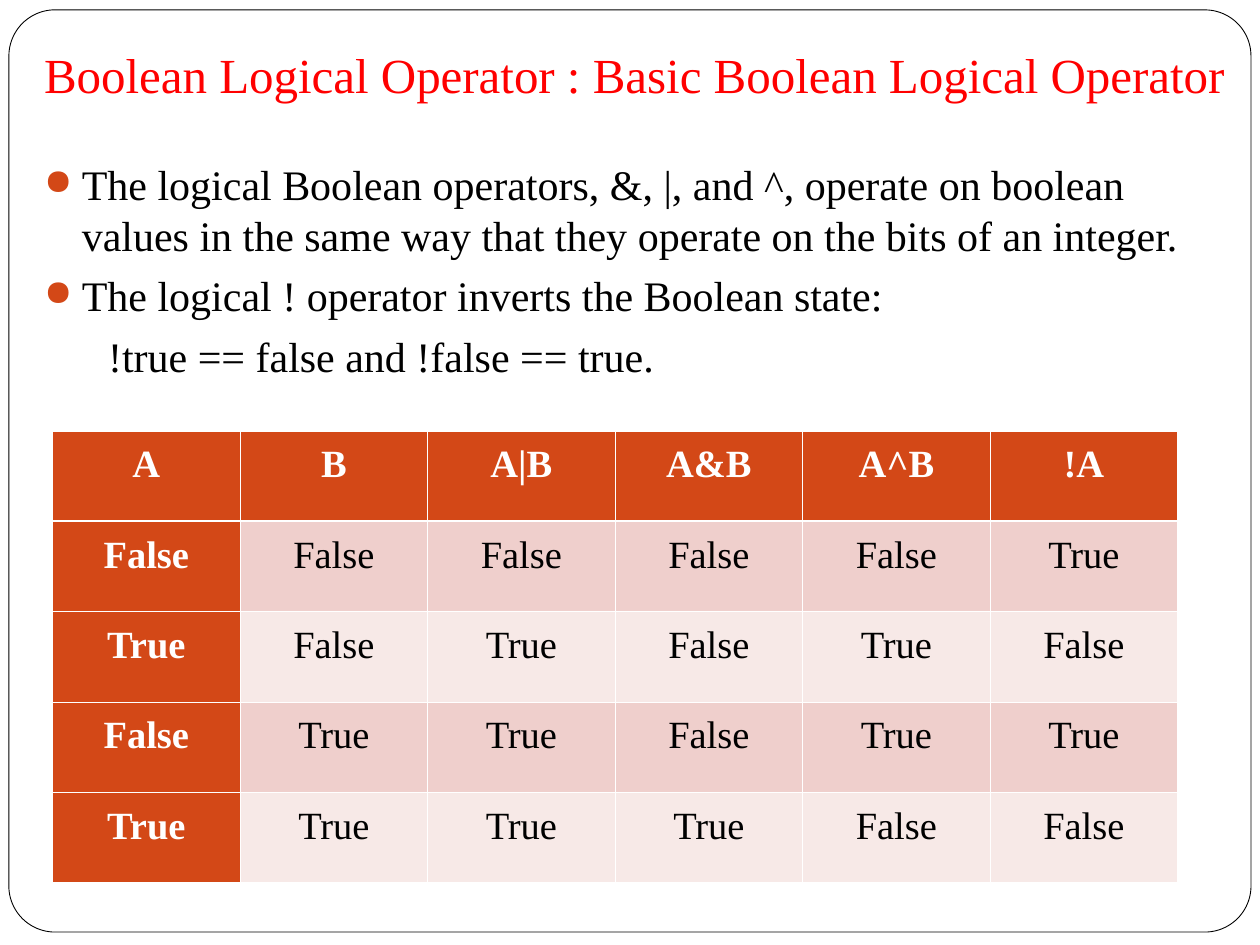
from lxml import etree
from pptx import Presentation
from pptx.dml.color import RGBColor
from pptx.enum.shapes import MSO_SHAPE
from pptx.enum.text import MSO_ANCHOR, PP_ALIGN
from pptx.oxml.ns import qn
from pptx.util import Cm, Pt

ROUNDED = MSO_SHAPE.ROUNDED_RECTANGLE
CENTER = PP_ALIGN.CENTER
TOP, BOTTOM = MSO_ANCHOR.TOP, MSO_ANCHOR.BOTTOM

BLACK, WHITE, RED = "000000", "FFFFFF", "FF0000"
ORANGE = "D34817"
BANDS = ("EFCFCC", "F7E9E7")


def color(hex_string):
    return RGBColor.from_string(hex_string)


class SlideBuilder:
    font_name = "Times New Roman"

    def __init__(self, slide):
        self.slide = slide

    def add_run(self, paragraph, text, size, hex_string, bold=False):
        run = paragraph.add_run()
        run.text = text
        run.font.name = self.font_name
        run.font.size = Pt(size)
        run.font.bold = bold
        run.font.color.rgb = color(hex_string)

    def add_frame(self, left, top, width, height):
        shape = self.slide.shapes.add_shape(
            ROUNDED, Cm(left), Cm(top), Cm(width), Cm(height))
        shape.adjustments[0] = 0.05
        shape.shadow.inherit = False
        shape.fill.solid()
        shape.fill.fore_color.rgb = color(WHITE)
        shape.line.color.rgb = color(BLACK)
        shape.line.width = Pt(0.5)

    def add_text_box(self, left, top, width, height, anchor, margin_top, margin_bottom):
        box = self.slide.shapes.add_textbox(Cm(left), Cm(top), Cm(width), Cm(height))
        frame = box.text_frame
        frame.word_wrap = True
        frame.vertical_anchor = anchor
        frame.margin_top, frame.margin_bottom = Cm(margin_top), Cm(margin_bottom)
        return frame

    def add_title(self, text):
        frame = self.add_text_box(0.64, 0.64, 24.76, 1.7, BOTTOM, 0.13, 0.25)
        self.add_run(frame.paragraphs[0], text, 28, RED)

    def add_body(self, lines):
        frame = self.add_text_box(0.64, 2.97, 24.33, 14.81, TOP, 0.23, 0.13)
        for index, (text, bulleted) in enumerate(lines):
            paragraph = frame.paragraphs[0]
            if index:
                paragraph = frame.add_paragraph()
                paragraph.space_before = Pt(5.8)
            self.set_indent(paragraph, bulleted)
            self.add_run(paragraph, text, 24, BLACK)

    def set_indent(self, paragraph, bulleted):
        properties = paragraph._p.get_or_add_pPr()
        properties.set("marL", str(Cm(0.76 if bulleted else 1.29)))
        properties.set("indent", str(Cm(-0.76 if bulleted else 0)))
        if bulleted:
            bullet_color = etree.SubElement(properties, qn("a:buClr"))
            etree.SubElement(bullet_color, qn("a:srgbClr"), val=ORANGE)
            etree.SubElement(properties, qn("a:buSzPct"), val="85000")
            etree.SubElement(properties, qn("a:buChar"), char="●")

    def add_table(self, left, top, column_width, row_height, rows):
        columns = len(rows[0])
        table = self.slide.shapes.add_table(
            len(rows), columns, Cm(left), Cm(top),
            Cm(column_width * columns), Cm(row_height * len(rows))).table
        for column in table.columns:
            column.width = Cm(column_width)
        for row_index, values in enumerate(rows):
            table.rows[row_index].height = Cm(row_height)
            for column_index, text in enumerate(values):
                self.fill_cell(table.cell(row_index, column_index),
                               text, row_index, column_index)

    def fill_cell(self, cell, text, row_index, column_index):
        heading = row_index == 0 or column_index == 0
        cell.margin_left = cell.margin_right = Cm(0.2)
        cell.vertical_anchor = TOP
        self.set_borders(cell, row_index)
        cell.fill.solid()
        cell.fill.fore_color.rgb = color(ORANGE if heading else BANDS[(row_index - 1) % 2])
        paragraph = cell.text_frame.paragraphs[0]
        paragraph.alignment = CENTER
        paragraph.line_spacing = 1.15
        self.add_run(paragraph, text, 22, WHITE if heading else BLACK, heading)

    def set_borders(self, cell, row_index):
        # The rule under the heading row is heavier than the others
        heavy_side = {0: "B", 1: "T"}.get(row_index)
        properties = cell._tc.get_or_add_tcPr()
        for side in "LRTB":
            width = Pt(1.5 if side == heavy_side else 0.45)
            line = etree.SubElement(properties, qn("a:ln" + side), w=str(width))
            fill = etree.SubElement(line, qn("a:solidFill"))
            etree.SubElement(fill, qn("a:srgbClr"), val=WHITE)


def main():
    presentation = Presentation()
    presentation.slide_width, presentation.slide_height = Cm(25.4), Cm(19.05)
    builder = SlideBuilder(presentation.slides.add_slide(presentation.slide_layouts[6]))

    # Frame and title
    builder.add_frame(0.18, 0.2, 25.04, 18.59)
    builder.add_title("Boolean Logical Operator : Basic Boolean Logical Operator")

    # Explanation
    builder.add_body([
        ("The logical Boolean operators, &, |, and ^, operate on boolean values "
         "in the same way that they operate on the bits of an integer.", True),
        ("The logical ! operator inverts the Boolean state:", True),
        ("!true == false and !false == true.", False),
    ])

    # Truth table
    builder.add_table(1.06, 8.69, 3.78, 1.82, [
        ("A", "B", "A|B", "A&B", "A^B", "!A"),
        ("False", "False", "False", "False", "False", "True"),
        ("True", "False", "True", "False", "True", "False"),
        ("False", "True", "True", "False", "True", "True"),
        ("True", "True", "True", "True", "False", "False"),
    ])

    presentation.save("out.pptx")


if __name__ == "__main__":
    main()
